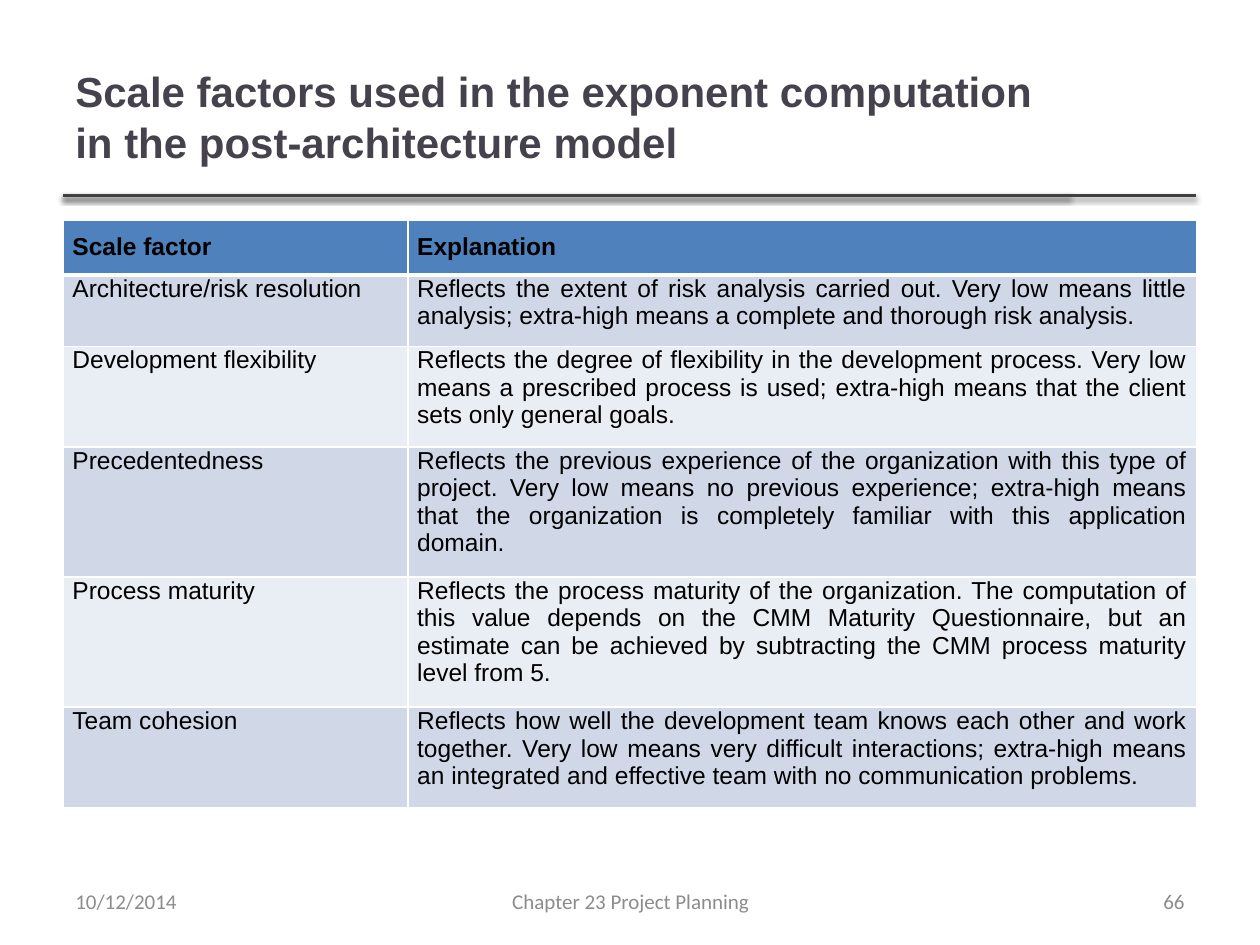
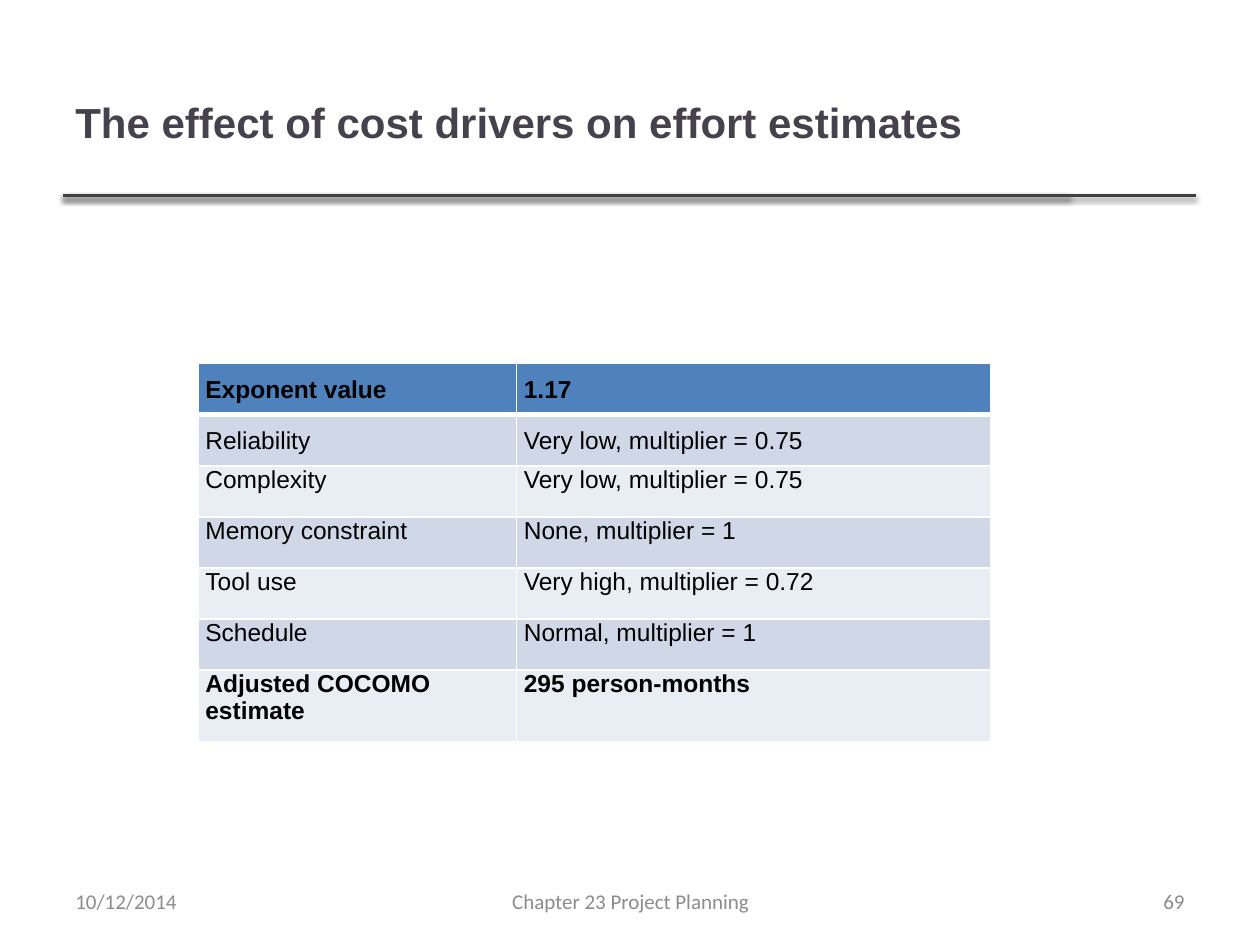
from lxml.etree import SubElement
from pptx import Presentation
from pptx.dml.color import RGBColor
from pptx.enum.shapes import MSO_CONNECTOR as Connector
from pptx.enum.text import MSO_ANCHOR as Anchor, PP_ALIGN as Align
from pptx.oxml.ns import qn
from pptx.util import Cm, Pt

# Shared look
TITLE_COLOR, RULE_COLOR, FOOTER_COLOR = "46424D", "404040", "8C8C8C"
HEADER_FILL, BAND_FILLS = "4F81BD", ("D0D8E8", "E9EDF4")
BORDER_COLOR, TEXT_COLOR = "FFFFFF", "000000"
MARGIN, RULE_TOP = 1.27, 3.94
CELL_PAD = 0.25
DATE, CHAPTER = "10/12/2014", "Chapter 23 Project Planning"

# Content
SCALE_FACTORS = [
    ("Scale factor", "Explanation"),
    ("Architecture/risk resolution",
     "Reflects the extent of risk analysis carried out. Very low means little "
     "analysis; extra-high means a complete and thorough risk analysis."),
    ("Development flexibility",
     "Reflects the degree of flexibility in the development process. Very low "
     "means a prescribed process is used; extra-high means that the client "
     "sets only general goals."),
    ("Precedentedness",
     "Reflects the previous experience of the organization with this type of "
     "project. Very low means no previous experience; extra-high means that "
     "the organization is completely familiar with this application domain."),
    ("Process maturity",
     "Reflects the process maturity of the organization. The computation of "
     "this value depends on the CMM Maturity Questionnaire, but an estimate "
     "can be achieved by subtracting the CMM process maturity level from 5."),
    ("Team cohesion",
     "Reflects how well the development team knows each other and work "
     "together. Very low means very difficult interactions; extra-high means "
     "an integrated and effective team with no communication problems."),
]
COST_DRIVERS = [
    ("Exponent value", "1.17"),
    ("Reliability", "Very low, multiplier = 0.75"),
    ("Complexity", "Very low, multiplier = 0.75"),
    ("Memory constraint", "None, multiplier = 1"),
    ("Tool use", "Very high, multiplier = 0.72"),
    ("Schedule", "Normal, multiplier = 1"),
    ("Adjusted COCOMO estimate", "295 person-months"),
]


def rgb(code):
    return RGBColor.from_string(code)


def write(frame, text, size=14, font="Arial", color=TEXT_COLOR, bold=False,
          align=Align.LEFT, space_after=0):
    para = frame.paragraphs[0]
    para.alignment = align
    para.space_after = Pt(space_after)
    span = para.add_run()
    span.text = text
    span.font.size, span.font.name, span.font.bold = Pt(size), font, bold
    span.font.color.rgb = rgb(color)


def add_text(page, text, left, top, width, height, **style):
    box = page.shapes.add_textbox(Cm(left), Cm(top), Cm(width), Cm(height))
    box.text_frame.word_wrap = True
    box.text_frame.vertical_anchor = Anchor.MIDDLE
    write(box.text_frame, text, **style)


def add_rule(page, right):
    rule = page.shapes.add_connector(
        Connector.STRAIGHT, Cm(MARGIN), Cm(RULE_TOP), Cm(right), Cm(RULE_TOP))
    rule.line.width = Pt(2)
    rule.line.color.rgb = rgb(RULE_COLOR)
    # Soft shadow straight below the rule
    effects = SubElement(rule._element.spPr, qn("a:effectLst"))
    shadow = SubElement(effects, qn("a:outerShdw"), blurRad=str(Pt(3.1)),
                        dist=str(Pt(1.6)), dir="5400000", rotWithShape="0")
    color = SubElement(shadow, qn("a:srgbClr"), val="000000")
    SubElement(color, qn("a:alpha"), val="38000")


def set_borders(cell, top, bottom):
    for side, width in (("L", 1), ("R", 1), ("T", top), ("B", bottom)):
        line = SubElement(cell._tc.get_or_add_tcPr(), qn(f"a:ln{side}"),
                          w=str(Pt(width)))
        fill = SubElement(line, qn("a:solidFill"))
        SubElement(fill, qn("a:srgbClr"), val=BORDER_COLOR)


def add_grid(page, rows, left, top, widths, heights, side_pad, pads, aligns,
             bold_rows=(0,), space_after=0):
    """Banded table; pads holds each row's top and bottom cell margin."""
    table = page.shapes.add_table(
        len(rows), len(widths), Cm(left), Cm(top),
        Cm(sum(widths)), Cm(sum(heights))).table
    table.first_row = table.horz_banding = False
    for column, width in zip(table.columns, widths):
        column.width = Cm(width)
    for index, texts in enumerate(rows):
        table.rows[index].height = Cm(heights[index])
        fill = BAND_FILLS[(index - 1) % 2] if index else HEADER_FILL
        for column, text in enumerate(texts):
            cell = table.cell(index, column)
            cell.margin_left = cell.margin_right = Cm(side_pad)
            cell.margin_top, cell.margin_bottom = map(Cm, pads[index])
            set_borders(cell, top=3 if index == 1 else 1,
                        bottom=1 if index else 3)
            cell.fill.solid()
            cell.fill.fore_color.rgb = rgb(fill)
            write(cell.text_frame, text, bold=index in bold_rows,
                  align=aligns[column], space_after=space_after)


def add_page(deck, title, number, title_top):
    page = deck.slides.add_slide(deck.slide_layouts[6])
    for right in (21.56, 24.1):
        add_rule(page, right)
    add_text(page, title, MARGIN, title_top, 20.25, 3.15,
             size=24, color=TITLE_COLOR, bold=True)
    # Footer
    for text, left, width, align in ((DATE, MARGIN, 5.92, Align.LEFT),
                                     (CHAPTER, 8.69, 8.05, Align.CENTER),
                                     (str(number), 18.21, 5.92, Align.RIGHT)):
        add_text(page, text, left, 17.65, width, 1.02, size=12,
                 font="Calibri", color=FOOTER_COLOR, align=align)
    return page


def main():
    deck = Presentation()
    deck.slide_width, deck.slide_height = Cm(25.4), Cm(19.05)

    # Scale factors
    page = add_page(deck, "Scale factors used in the exponent computation "
                    "in the post-architecture model", 66, title_top=0.77)
    add_grid(page, SCALE_FACTORS, MARGIN, 4.45, widths=(6.95, 15.9),
             heights=(1.03, 1.38, 1.92, 2.48, 2.48, 1.9), side_pad=0.19,
             pads=[(CELL_PAD, CELL_PAD)] + [(0, CELL_PAD)] * 5,
             aligns=(Align.JUSTIFY, Align.JUSTIFY))

    # Cost drivers
    page = add_page(deck, "The effect of cost drivers on effort estimates",
                    69, title_top=0.87)
    add_grid(page, COST_DRIVERS, 3.99, 7.33, widths=(6.42, 9.56),
             heights=[1.03] * 6 + [1.37], side_pad=0.15,
             pads=[(CELL_PAD, 0)] * 2 + [(0, 0)] * 4 + [(0, CELL_PAD)],
             aligns=(Align.LEFT, Align.JUSTIFY),
             bold_rows=(0, len(COST_DRIVERS) - 1), space_after=3)

    deck.save("out.pptx")


if __name__ == "__main__":
    main()
